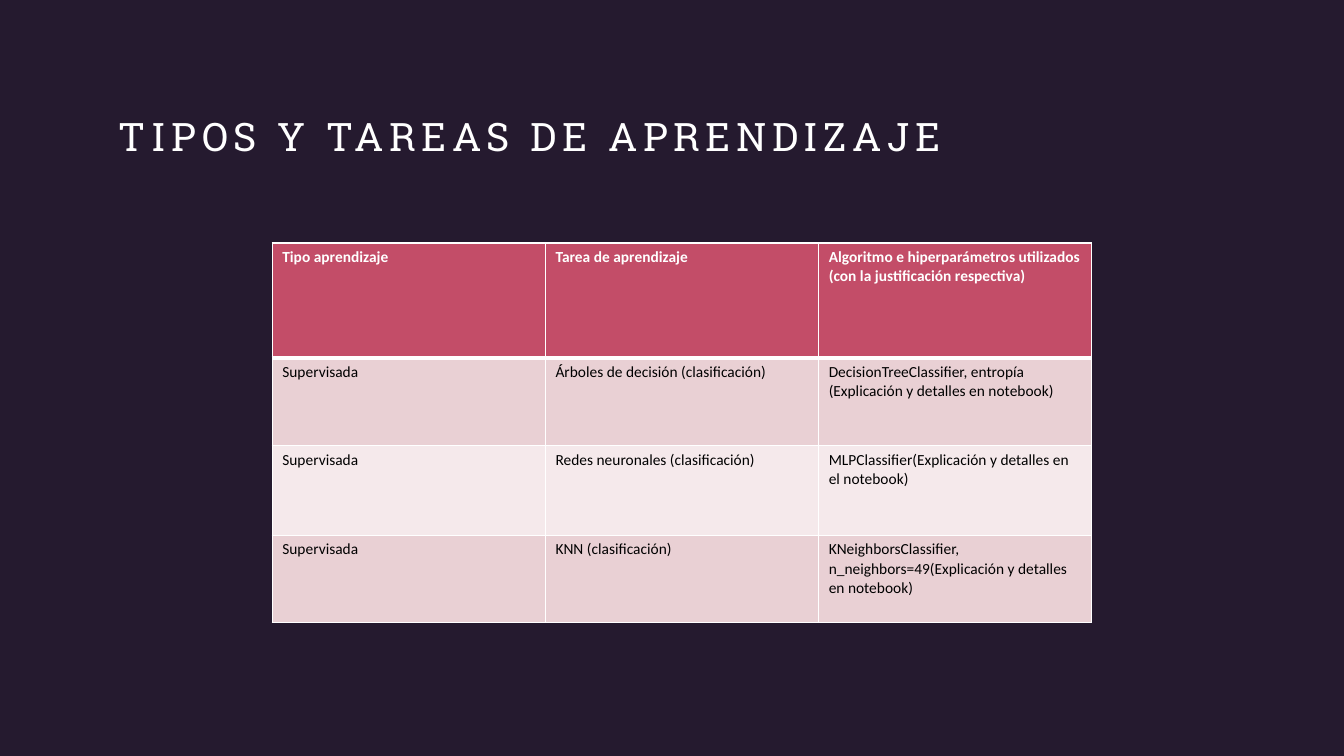
from lxml.etree import SubElement
from pptx import Presentation
from pptx.dml.color import RGBColor
from pptx.enum.text import MSO_ANCHOR
from pptx.oxml.ns import qn
from pptx.util import Inches, Pt

BACKGROUND = RGBColor(0x25, 0x1A, 0x2F)
WHITE = RGBColor(0xFF, 0xFF, 0xFF)
BLACK = RGBColor(0x00, 0x00, 0x00)
HEADER_FILL = RGBColor(0xC3, 0x4D, 0x68)
BAND_FILLS = (RGBColor(0xE9, 0xD0, 0xD4), RGBColor(0xF5, 0xE9, 0xEB))

TITLE = "TIPOS Y TAREAS DE APRENDIZAJE"
HEADER = (
    "Tipo aprendizaje",
    "Tarea de aprendizaje",
    "Algoritmo e hiperparámetros utilizados (con la justificación respectiva)",
)
TASKS = (
    ("Supervisada", "Árboles de decisión (clasificación)",
     "DecisionTreeClassifier, entropía (Explicación y detalles en notebook)"),
    ("Supervisada", "Redes neuronales (clasificación)",
     "MLPClassifier(Explicación y detalles en el notebook)"),
    ("Supervisada", "KNN (clasificación)",
     "KNeighborsClassifier, n_neighbors=49(Explicación y detalles en notebook)"),
)
COLUMN_WIDTH = 2.71
ROW_HEIGHTS = (1.14, 0.87, 0.89, 0.87)


def add_span(para, text, font, size, color, bold=False):
    span = para.add_run()
    span.text = text
    span.font.name = font
    span.font.size = Pt(size)
    span.font.color.rgb = color
    span.font.bold = bold
    return span


def add_title(page, text):
    box = page.shapes.add_textbox(Inches(1.18), Inches(1.11), Inches(10.97), Inches(0.72))
    frame = box.text_frame
    frame.word_wrap = True
    frame.vertical_anchor = MSO_ANCHOR.TOP
    frame.margin_left = frame.margin_right = frame.margin_top = frame.margin_bottom = 0
    span = add_span(frame.paragraphs[0], text, "Roboto Slab", 28, WHITE)
    span.font._element.set("spc", "400")


def set_borders(cell, top=1, bottom=1):
    """Draw white borders, with widths in points."""
    properties = cell._tc.get_or_add_tcPr()
    for side, width in (("L", 1), ("R", 1), ("T", top), ("B", bottom)):
        line = SubElement(properties, qn(f"a:ln{side}"), w=str(Pt(width)))
        fill = SubElement(line, qn("a:solidFill"))
        SubElement(fill, qn("a:srgbClr"), val=str(WHITE))


def fill_cell(cell, text, fill, color, bold):
    cell.fill.solid()
    cell.fill.fore_color.rgb = fill
    add_span(cell.text_frame.paragraphs[0], text, "Calibri", 11, color, bold)


def add_task_table(page):
    rows = (HEADER, *TASKS)
    table = page.shapes.add_table(
        len(rows), len(HEADER), Inches(2.7), Inches(2.41),
        Inches(COLUMN_WIDTH * len(HEADER)), Inches(sum(ROW_HEIGHTS))).table
    for column in table.columns:
        column.width = Inches(COLUMN_WIDTH)
    for index, (texts, height) in enumerate(zip(rows, ROW_HEIGHTS)):
        table.rows[index].height = Inches(height)
        is_header = index == 0
        fill = HEADER_FILL if is_header else BAND_FILLS[(index - 1) % 2]
        for cell, text in zip(table.rows[index].cells, texts):
            set_borders(cell, top=3 if index == 1 else 1, bottom=3 if is_header else 1)
            fill_cell(cell, text, fill, WHITE if is_header else BLACK, is_header)


def main():
    deck = Presentation()
    deck.slide_width, deck.slide_height = Inches(13.33), Inches(7.5)
    page = deck.slides.add_slide(deck.slide_layouts[6])
    page.background.fill.solid()
    page.background.fill.fore_color.rgb = BACKGROUND
    add_title(page, TITLE)
    add_task_table(page)
    deck.save("out.pptx")


if __name__ == "__main__":
    main()
